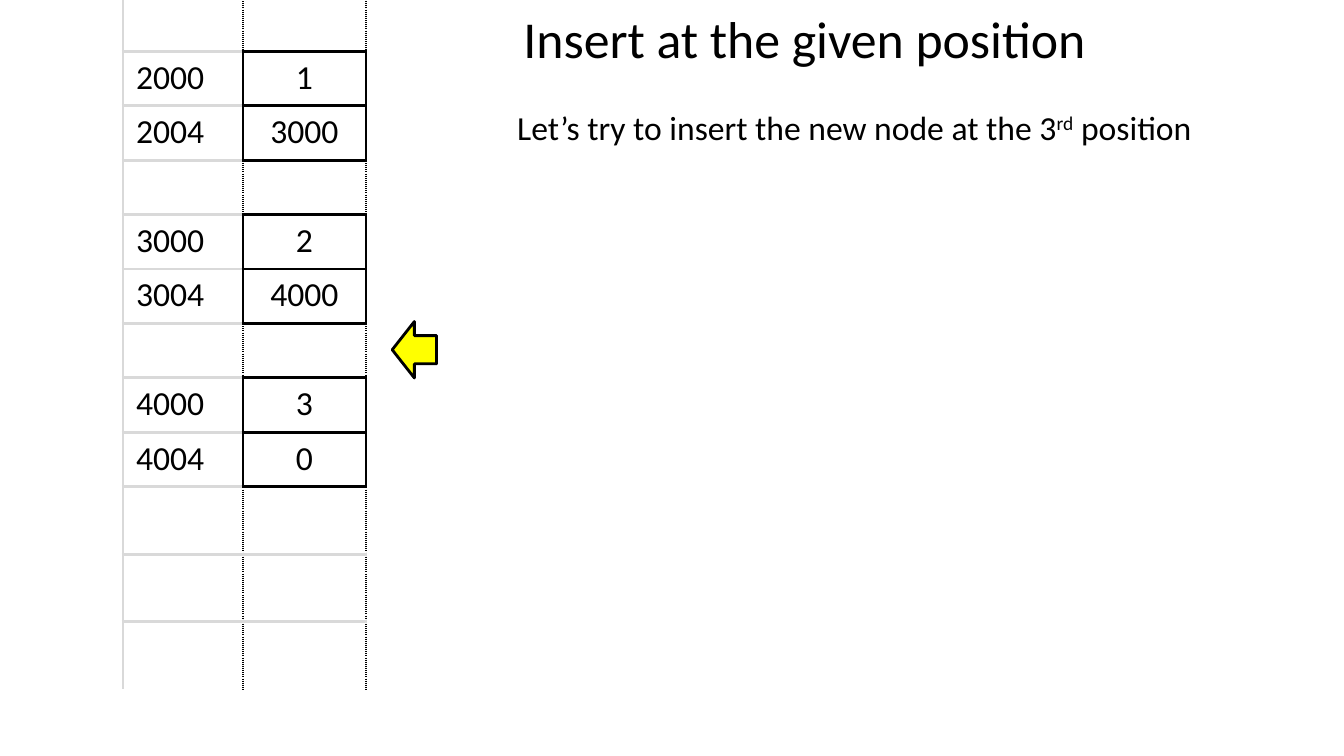
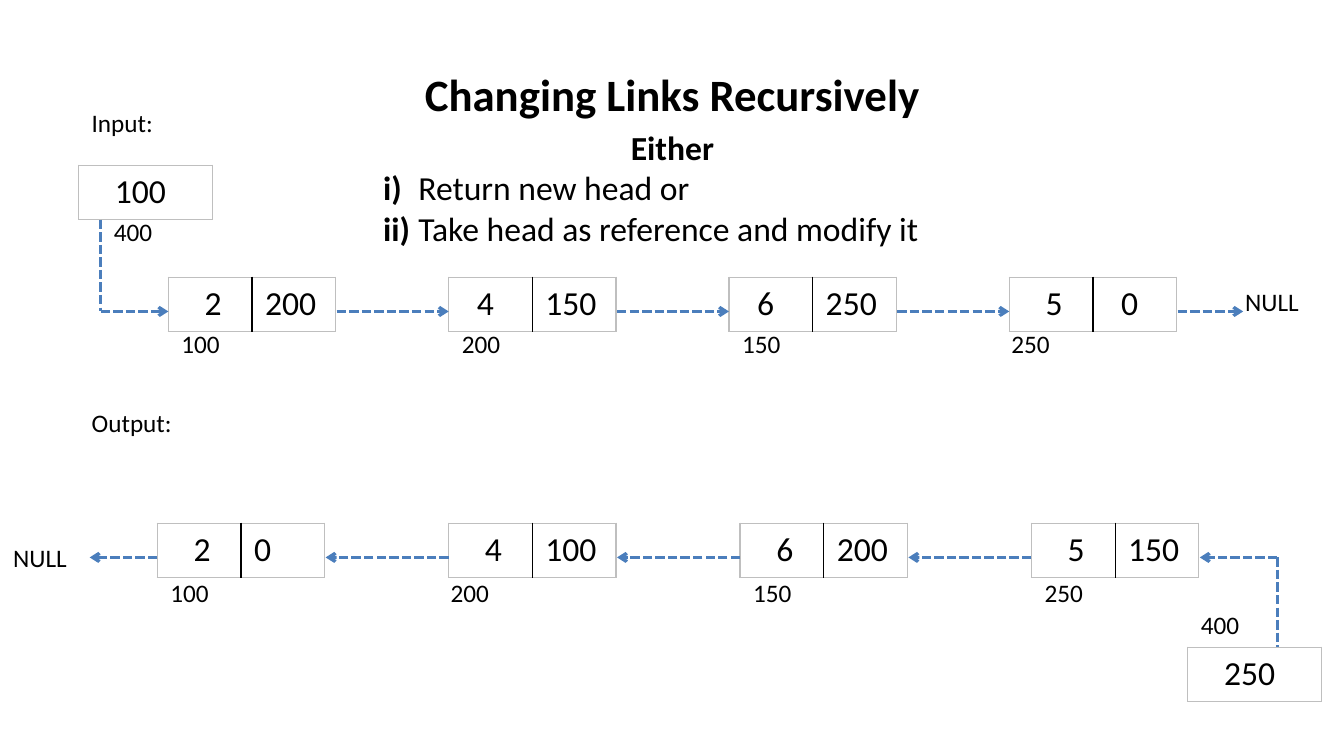
from lxml.etree import SubElement
from pptx import Presentation
from pptx.dml.color import RGBColor
from pptx.enum.dml import MSO_LINE
from pptx.enum.shapes import MSO_CONNECTOR, MSO_SHAPE
from pptx.enum.text import MSO_ANCHOR, MSO_AUTO_SIZE, PP_ALIGN
from pptx.oxml.ns import qn
from pptx.util import Emu, Pt

BLACK = RGBColor(0x00, 0x00, 0x00)
LIGHT_GREY = RGBColor(0xD9, 0xD9, 0xD9)
NODE_GREY = RGBColor(0xBF, 0xBF, 0xBF)
LINK_BLUE = RGBColor(0x4B, 0x7E, 0xBC)
YELLOW = RGBColor(0xFF, 0xFF, 0x00)

EMU_PER_PX = 9144
SIDES = {"left": "a:lnL", "right": "a:lnR", "top": "a:lnT", "bottom": "a:lnB"}
BODY = {"name": "Calibri", "size": Pt(24), "bold": False}
LABEL = {**BODY, "size": Pt(18)}
STRONG = {**BODY, "bold": True}
SLIDE_TITLE = {**BODY, "size": Pt(37)}
BOLD_TITLE = {**STRONG, "size": Pt(32)}

NODE_WIDTH, NODE_HEIGHT, HEAD_WIDTH = 167, 54, 133
LINK_DROP = 34
INDENT = 23

MEMORY_ROWS = [
    None, ("2000", "1"), ("2004", "3000"),
    None, ("3000", "2"), ("3004", "4000"),
    None, ("4000", "3"), ("4004", "0"),
    None, None, None,
]
INPUT_NODES = [
    (("2", INDENT), ("200", 0), "100", 0),
    (("4", 15), ("150", 0), "200", 0),
    (("6", 15), ("250", 0), "150", 0),
    (("5", INDENT), ("0", 15), "250", -11),
]
OUTPUT_NODES = [
    (("2", INDENT), ("0", 0), "100", 0),
    (("4", INDENT), ("100", 0), "200", -11),
    (("6", INDENT), ("200", 0), "150", 0),
    (("5", INDENT), ("150", 0), "250", 0),
]


def px(length):
    """Turn a length in px into EMU."""
    return Emu(length * EMU_PER_PX)


def set_values(target, values):
    """Set each named attribute of the target."""
    for name, value in values.items():
        setattr(target, name, value)


def add_run(paragraph, text, style):
    """Add a black run in the given style and return it."""
    run = paragraph.add_run()
    run.text = text
    set_values(run.font, style)
    run.font.color.rgb = BLACK
    return run


def add_text(slide, box, lines, align=PP_ALIGN.LEFT, wrap=True,
             anchor=MSO_ANCHOR.TOP):
    """Add a text box whose lines are lists of (text, style) and return its frame."""
    frame = slide.shapes.add_textbox(*map(px, box)).text_frame
    set_values(frame, {
        "word_wrap": wrap, "auto_size": MSO_AUTO_SIZE.NONE, "vertical_anchor": anchor,
        "margin_left": px(13), "margin_right": px(13),
        "margin_top": px(7), "margin_bottom": px(7),
    })
    for index, runs in enumerate(lines):
        paragraph = frame.add_paragraph() if index else frame.paragraphs[0]
        paragraph.alignment = align
        for text, style in runs:
            add_run(paragraph, text, style)
    return frame


def add_label(slide, left, top, text, width=111):
    """Add a small caption."""
    add_text(slide, (left, top, width, 44), [[(text, LABEL)]])


def add_plain_table(slide, left, top, widths, heights):
    """Add a table without banding and return it."""
    frame = slide.shapes.add_table(
        len(heights), len(widths), px(left), px(top), px(sum(widths)), px(sum(heights)))
    table = frame.table
    set_values(table, {"first_row": False, "horz_banding": False})
    for column, width in zip(table.columns, widths):
        column.width = px(width)
    for row, height in zip(table.rows, heights):
        row.height = px(height)
    return table


def format_cell(cell, text, borders, width, align=PP_ALIGN.LEFT, indent=0):
    """Write a cell and draw its borders, each a (colour, dash) pair or None."""
    set_values(cell, {"margin_left": px(13 + indent), "margin_right": px(13),
                      "margin_top": px(6), "margin_bottom": px(6)})
    properties = cell._tc.get_or_add_tcPr()
    for side, tag in SIDES.items():
        line = SubElement(properties, qn(tag), w=str(Pt(width)))
        if borders[side] is None:
            SubElement(line, qn("a:noFill"))
            continue
        colour, dash = borders[side]
        fill = SubElement(line, qn("a:solidFill"))
        SubElement(fill, qn("a:srgbClr"), val=str(colour))
        SubElement(line, qn("a:prstDash"), val=dash)
    cell.fill.background()
    if text:
        paragraph = cell.text_frame.paragraphs[0]
        paragraph.alignment = align
        add_run(paragraph, text, BODY)


def add_link(slide, start, end, arrow=True):
    """Add a dashed line with an optional arrowhead at its end."""
    connector = slide.shapes.add_connector(
        MSO_CONNECTOR.STRAIGHT, *map(px, (*start, *end)))
    set_values(connector.line, {"width": Pt(2.25), "dash_style": MSO_LINE.SQUARE_DOT})
    connector.line.color.rgb = LINK_BLUE
    if arrow:
        SubElement(connector.line._get_or_add_ln(), qn("a:tailEnd"), type="arrow")
    SubElement(connector._element.spPr, qn("a:effectLst"))


def draw_memory(slide, left, top):
    """Draw the column of memory addresses and stored values."""
    solid, grey, dotted = (BLACK, "solid"), (LIGHT_GREY, "solid"), (BLACK, "sysDot")
    last = len(MEMORY_ROWS) - 1
    heights = [54] * 9 + [67] * 3
    table = add_plain_table(slide, left, top, [119, 122], heights)
    for index, entry in enumerate(MEMORY_ROWS):
        address, value = entry or ("", "")
        above = MEMORY_ROWS[index - 1] if index else None
        below = MEMORY_ROWS[index + 1] if index < last else None
        side = solid if entry else dotted
        address_borders = {"left": grey, "right": side,
                           "top": grey if index else None,
                           "bottom": grey if index < last else None}
        value_borders = {**address_borders, "left": side}
        if entry or above:
            value_borders["top"] = solid
        if entry or below:
            value_borders["bottom"] = solid
        format_cell(table.cell(index, 0), address, address_borders, 2.25)
        format_cell(table.cell(index, 1), value, value_borders, 2.25, PP_ALIGN.CENTER)


def draw_boxes(slide, left, top, width, entries):
    """Draw a row of cells with a grey outline and black dividers."""
    outline, divider = (NODE_GREY, "solid"), (BLACK, "solid")
    count = len(entries)
    table = add_plain_table(slide, left, top, [width // count] * count, [NODE_HEIGHT])
    for index, (text, indent) in enumerate(entries):
        borders = {"left": divider if index else outline,
                   "right": divider if index < count - 1 else outline,
                   "top": outline, "bottom": outline}
        format_cell(table.cell(0, index), text, borders, 1, indent=indent)


def draw_nodes(slide, left, top, step, label_drop, nodes):
    """Draw evenly spaced nodes with their addresses and return their left edges."""
    edges = [left + step * index for index in range(len(nodes))]
    for edge, (value, following, address, shift) in zip(edges, nodes):
        draw_boxes(slide, edge, top, NODE_WIDTH, [value, following])
        add_label(slide, edge + shift, top + label_drop, address)
    return edges


def draw_input_list(slide, left, top):
    """Draw the list linked from left to right, with its head above."""
    edges = draw_nodes(slide, left, top, 278, 44, INPUT_NODES)
    level = top + LINK_DROP
    for start, end in zip(edges, edges[1:] + [left + 1066]):
        add_link(slide, (start + NODE_WIDTH, level), (end, level))
    add_label(slide, left + 1055, top + 2, "NULL")
    head_left, head_top = left - 89, top - 111
    corner = (left - 67, level)
    draw_boxes(slide, head_left, head_top, HEAD_WIDTH, [("100", INDENT)])
    add_link(slide, (corner[0], head_top + NODE_HEIGHT), corner, arrow=False)
    add_link(slide, corner, (left, level))
    add_label(slide, left - 67, top - 67, "400")


def draw_output_list(slide, left, top):
    """Draw the list linked from right to left, with its head below."""
    edges = draw_nodes(slide, left, top, 289, 47, OUTPUT_NODES)
    level = top + LINK_DROP
    ends = [left - 67] + [edge + NODE_WIDTH for edge in edges]
    for start, end in zip(edges, ends):
        add_link(slide, (start, level), (end, level))
    add_label(slide, left - 156, top + 12, "NULL")
    head_left, head_top = left + 1022, top + 123
    corner = (left + 1111, level)
    draw_boxes(slide, head_left, head_top, HEAD_WIDTH, [("250", INDENT)])
    add_link(slide, corner, (ends[-1], level))
    add_link(slide, corner, (corner[0], head_top), arrow=False)
    add_label(slide, head_left, head_top - 45, "400")


def draw_options(slide, box):
    """Write the two ways of returning the changed head."""
    frame = add_text(slide, box, [
        [("Either", STRONG)],
        [("i)", STRONG), ("\tReturn new head or", BODY)],
        [("ii)", STRONG), ("\tTake head as reference and modify it", BODY)],
    ])
    heading, *options = frame.paragraphs
    heading.alignment = PP_ALIGN.CENTER
    for paragraph in options:
        tabs = SubElement(paragraph._p.get_or_add_pPr(), qn("a:tabLst"))
        SubElement(tabs, qn("a:tab"), pos=str(px(35)), algn="l")


def build_insert_slide(slide):
    """Build the slide on inserting at a position."""
    draw_memory(slide, 122, -3)
    add_text(slide, (500, 0, 596, 76), [[("Insert at the given position", SLIDE_TITLE)]],
             PP_ALIGN.CENTER, wrap=False)
    frame = add_text(slide, (500, 99, 704, 54), [[
        ("Let’s try to insert the new node at the 3", BODY),
        ("rd", BODY), (" position", BODY)]], wrap=False)
    frame.paragraphs[0].runs[1]._r.get_or_add_rPr().set("baseline", "30000")
    pointer = slide.shapes.add_shape(
        MSO_SHAPE.LEFT_ARROW, *map(px, (389, 319, 44, 56)))
    pointer.shadow.inherit = False
    pointer.fill.solid()
    pointer.fill.fore_color.rgb = YELLOW
    pointer.line.color.rgb = BLACK
    pointer.line.width = Pt(2)


def build_links_slide(slide):
    """Build the slide on changing links recursively."""
    add_text(slide, (67, 30, 1200, 125), [[("Changing Links Recursively", BOLD_TITLE)]],
             PP_ALIGN.CENTER, anchor=MSO_ANCHOR.MIDDLE)
    draw_options(slide, (367, 119, 600, 135))
    add_label(slide, 78, 99, "Input:", 156)
    draw_input_list(slide, 167, 275)
    add_label(slide, 78, 397, "Output:", 156)
    draw_output_list(slide, 156, 519)


def main():
    """Build and save the presentation."""
    presentation = Presentation()
    presentation.slide_width, presentation.slide_height = px(1333), px(750)
    blank = presentation.slide_layouts[6]
    for build in (build_insert_slide, build_links_slide):
        build(presentation.slides.add_slide(blank))
    presentation.save("out.pptx")


if __name__ == "__main__":
    main()
